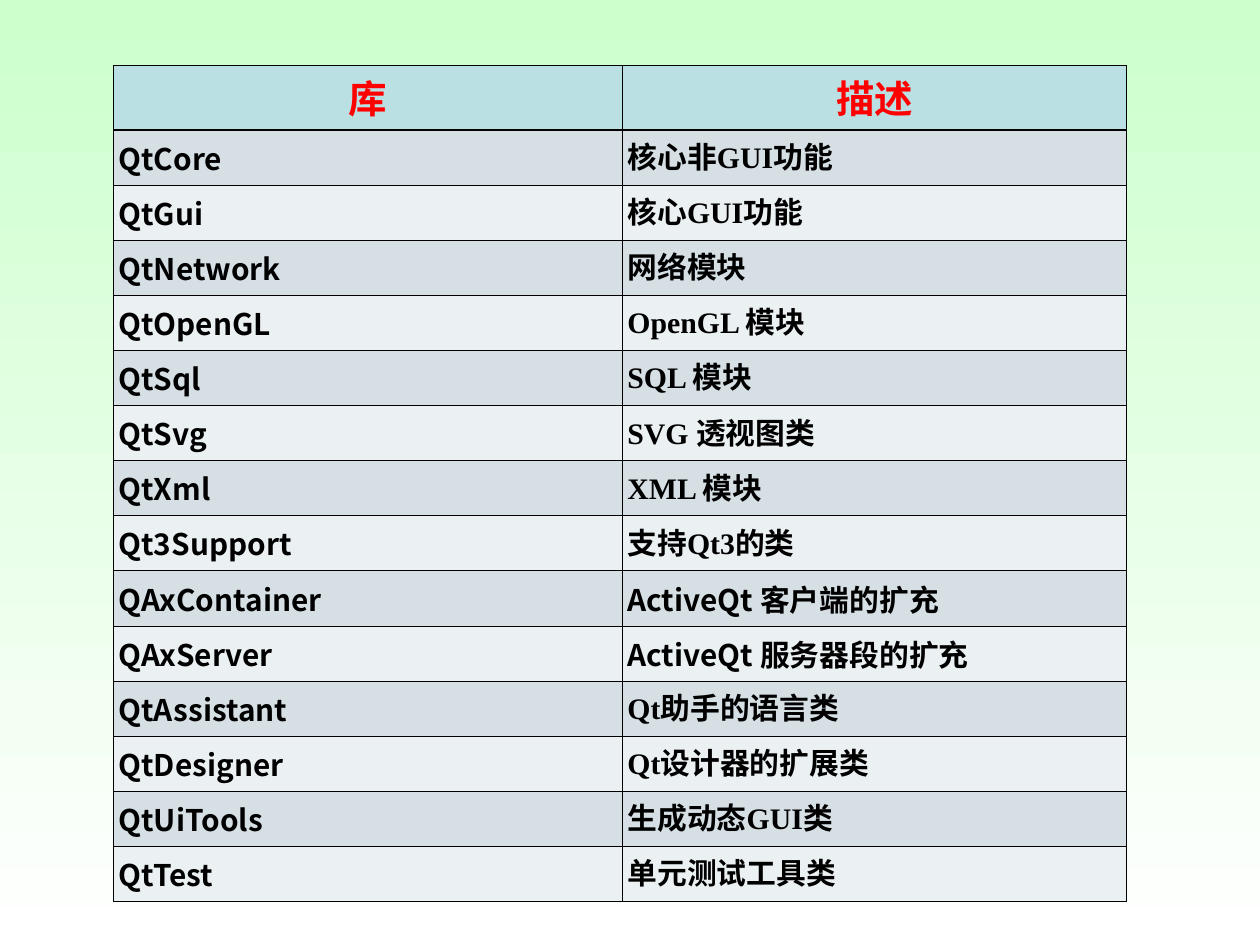
from lxml import etree
from pptx import Presentation
from pptx import util as u
from pptx.dml.color import RGBColor
from pptx.enum import text
from pptx.oxml.ns import qn

SANS, SERIF = "Noto Sans CJK SC", "Times New Roman"
HEADER = ["库", "描述"]
LIBRARIES = [
    ("QtCore", "核心非GUI功能"),
    ("QtGui", "核心GUI功能"),
    ("QtNetwork", "网络模块"),
    ("QtOpenGL", "OpenGL 模块"),
    ("QtSql", "SQL 模块"),
    ("QtSvg", "SVG 透视图类"),
    ("QtXml", "XML 模块"),
    ("Qt3Support", "支持Qt3的类"),
    ("QAxContainer", ("ActiveQt ", "客户端的扩充")),
    ("QAxServer", ("ActiveQt ", "服务器段的扩充")),
    ("QtAssistant", "Qt助手的语言类"),
    ("QtDesigner", "Qt设计器的扩展类"),
    ("QtUiTools", "生成动态GUI类"),
    ("QtTest", "单元测试工具类"),
]
COLS = [4.04, 4]
HEAD_H, ROW_H = 0.44, 0.41
BANDS = ["EBF0F2", "D5DFE4"]
THIN, THICK = 0.45, 1.47


def rgb(value):
    return RGBColor.from_string(value)


def write(cell, runs, size=17, color="000000", align=text.PP_ALIGN.LEFT, spacing=0.93):
    cell.margin_left = cell.margin_right = u.Inches(0.04)
    cell.margin_top = cell.margin_bottom = u.Inches(0.05)
    p = cell.text_frame.paragraphs[0]
    p.alignment, p.line_spacing, p.space_after = align, spacing, u.Pt(6)
    for words, font in runs:
        r = p.add_run()
        r.text = words
        r.font.size, r.font.bold, r.font.name = u.Pt(size), True, font
        r.font.color.rgb = rgb(color)
        ea = etree.Element(qn("a:ea"), typeface=SANS)
        r.font._element.find(qn("a:latin")).addnext(ea)


def border(cell, **widths):
    tc_pr = cell._tc.get_or_add_tcPr()
    for side in "LRTB":
        width = u.Pt(widths.get(side, THIN))
        ln = etree.SubElement(tc_pr, qn("a:ln" + side), w=str(width))
        fill = etree.SubElement(ln, qn("a:solidFill"))
        etree.SubElement(fill, qn("a:srgbClr"), val="000000")


def paint(cell, color):
    cell.fill.solid()
    cell.fill.fore_color.rgb = rgb(color)


def main():
    prs = Presentation()
    prs.slide_width, prs.slide_height = u.Inches(10), u.Inches(7.5)
    s = prs.slides.add_slide(prs.slide_layouts[6])
    bg = s.background.fill
    bg.gradient()
    bg.gradient_angle = 270
    for stop, color in zip(bg.gradient_stops, ["CCFFCC", "FFFFFF"]):
        stop.color.rgb = rgb(color)

    height = HEAD_H + ROW_H * len(LIBRARIES)
    table = s.shapes.add_table(
        len(LIBRARIES) + 1, len(COLS), u.Inches(0.9), u.Inches(0.52),
        u.Inches(sum(COLS)), u.Inches(height)).table
    for column, width in zip(table.columns, COLS):
        column.width = u.Inches(width)
    for i, row in enumerate(table.rows):
        row.height = u.Inches(ROW_H if i else HEAD_H)

    for j, title in enumerate(HEADER):
        cell = table.cell(0, j)
        write(cell, [(title, SERIF)], size=22, color="FF0000", align=text.PP_ALIGN.CENTER)
        border(cell, B=THICK)
        paint(cell, "BBE0E3")

    for i, (name, description) in enumerate(LIBRARIES, 1):
        split = isinstance(description, tuple)
        runs = list(zip(description, [SANS, SERIF])) if split else [(description, SERIF)]
        write(table.cell(i, 0), [(name, SANS)], spacing=0.98)
        write(table.cell(i, 1), runs, spacing=0.98 if split else 0.93)
        for cell in table.rows[i].cells:
            border(cell, T=THICK if i == 1 else THIN)
            paint(cell, BANDS[i % 2])

    prs.save("out.pptx")


if __name__ == "__main__":
    main()
